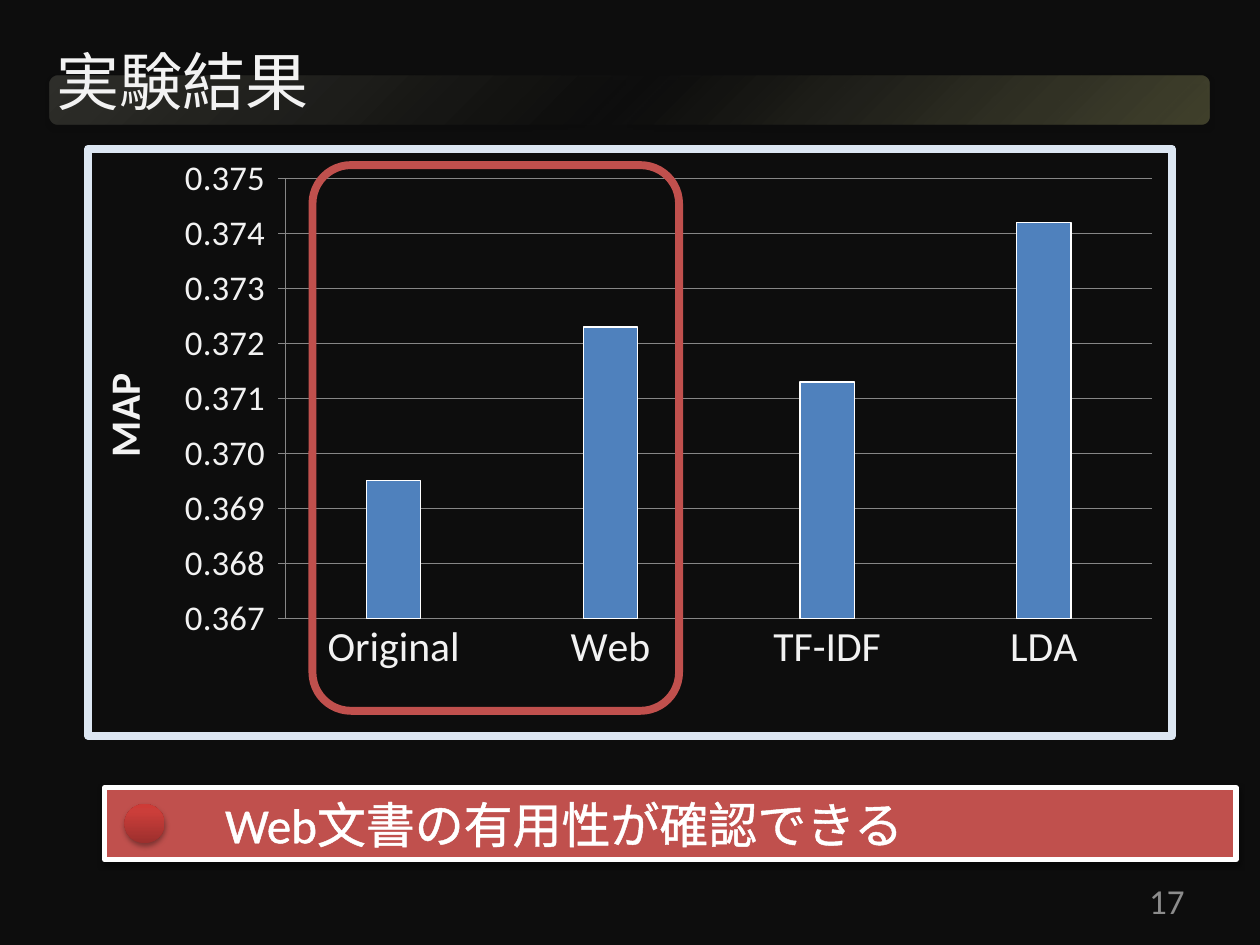
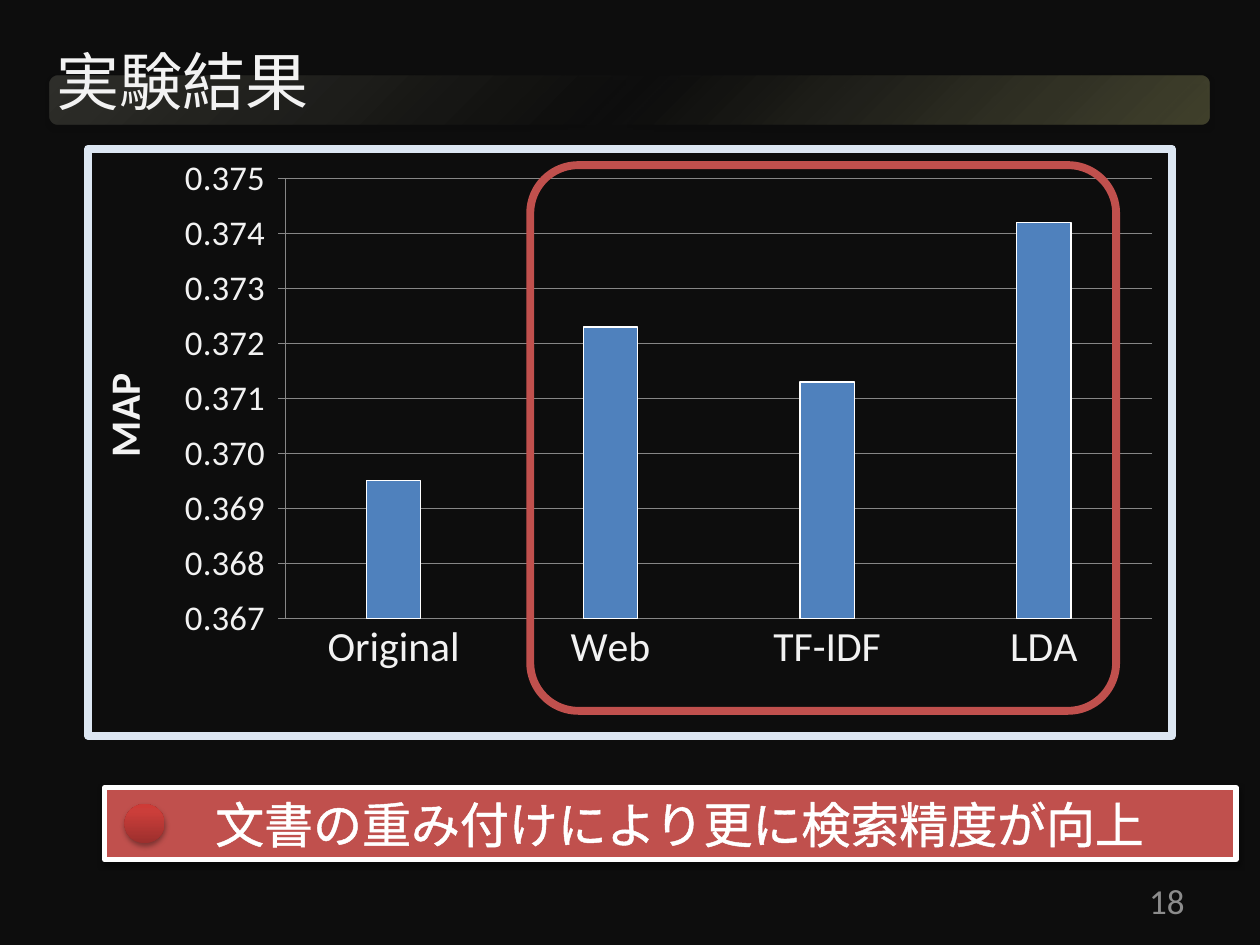
from lxml import etree
from pptx import Presentation
from pptx.chart.data import CategoryChartData
from pptx.dml.color import RGBColor
from pptx.enum.chart import XL_CHART_TYPE as ChartType, XL_TICK_MARK as Tick
from pptx.enum.shapes import MSO_SHAPE as Shape
from pptx.enum.text import MSO_ANCHOR as Anchor, PP_ALIGN as Align
from pptx.oxml import parse_xml
from pptx.oxml.ns import nsdecls, qn
from pptx.util import Cm, Pt

COLORS = {
    "background": "0D0D0D", "text": "F2F2F2", "number": "8C8C8C", "white": "FFFFFF",
    "accent": "C0504D", "bar": "4F81BD", "frame": "DCE6F2", "grid": "868686",
}
FONT = "Calibri"
BAND_STOPS = [(0, "FFFFA0", 22), (50, "FFFFC5", 0), (100, "FFFFE3", 14)]
DOT_STOPS = [(0, "9C2F2D", 100), (80, "CB3E3A", 100), (100, "CE3B37", 100)]
MAP_SCORES = {"Original": 0.3695, "Web": 0.3723, "TF-IDF": 0.3713, "LDA": 0.3742}
PLOT_AREA = {"x": 0.182, "y": 0.051, "w": 0.8, "h": 0.749}

# page number, highlight (left, width, corner), message, message indent
RESULTS = [
    (17, (6.3, 7.39, 0.105), "Web文書の有用性が確認できる", 2.43),
    (18, (10.69, 11.81, 0.088), "文書の重み付けにより更に検索精度が向上", 2.23),
]


def rgb(name):
    return RGBColor.from_string(COLORS[name])


def lengths(box):
    return [Cm(value) for value in box]


def style_line(line, color, width):
    line.color.rgb = rgb(color)
    line.width = Pt(width)


def style_font(font, size, color="text", bold=False):
    font.name, font.size, font.bold = FONT, Pt(size), bold
    font.color.rgb = rgb(color)


def outline_xml(tag, color, width):
    return parse_xml(
        f'<{tag} {nsdecls("a", "c")} w="{Pt(width)}"><a:solidFill>'
        f'<a:srgbClr val="{COLORS[color]}"/></a:solidFill><a:round/></{tag}>')


def write(frame, text, size, color="text", align=Align.LEFT, indent=0.25, outline=0):
    frame.word_wrap = True
    frame.vertical_anchor = Anchor.MIDDLE
    frame.margin_left = Cm(indent)
    para = frame.paragraphs[0]
    para.alignment = align
    span = para.add_run()
    span.text = text
    style_font(span.font, size, color)
    properties = span.font._element
    etree.SubElement(properties, qn("a:ea")).set("typeface", FONT)
    if outline:
        properties.insert(0, outline_xml("a:ln", color, outline))


class Deck:
    def __init__(self):
        self.file = Presentation()
        self.file.slide_width, self.file.slide_height = Cm(25.4), Cm(19.05)
        self.page = None

    def add_page(self, title, number):
        self.page = self.file.slides.add_slide(self.file.slide_layouts[6])
        fill = self.page.background.fill
        fill.solid()
        fill.fore_color.rgb = rgb("background")
        band = self.shape(Shape.ROUNDED_RECTANGLE, (0.99, 1.52, 23.39, 0.99))
        self.gradient(band, BAND_STOPS, 225)
        self.shadow(band, 38)
        self.text((0.89, 0.53, 23.19, 2.16), title, size=36)
        self.text((22.3, 17.65, 1.83, 1.02), str(number), size=20,
                  color="number", align=Align.RIGHT)

    def text(self, box, text, **style):
        write(self.page.shapes.add_textbox(*lengths(box)).text_frame, text, **style)

    def shape(self, kind, box, fill=None, line=None, width=0):
        shape = self.page.shapes.add_shape(kind, *lengths(box))
        shape.shadow.inherit = False
        if fill:
            shape.fill.solid()
            shape.fill.fore_color.rgb = rgb(fill)
        else:
            shape.fill.background()
        if line:
            style_line(shape.line, line, width)
        else:
            shape.line.fill.background()
        return shape

    def gradient(self, shape, stops, angle):
        """Fill with (position, colour, opacity) stops; the angle runs clockwise."""
        marks = "".join(
            f'<a:gs pos="{at * 1000}"><a:srgbClr val="{color}">'
            f'<a:alpha val="{opacity * 1000}"/></a:srgbClr></a:gs>'
            for at, color, opacity in stops)
        properties = shape._element.spPr
        properties.replace(properties.find(qn("a:noFill")), parse_xml(
            f'<a:gradFill {nsdecls("a")} rotWithShape="1"><a:gsLst>{marks}</a:gsLst>'
            f'<a:lin ang="{angle * 60000}" scaled="0"/></a:gradFill>'))

    def shadow(self, shape, opacity):
        effects = shape._element.spPr.find(qn("a:effectLst"))
        effects.append(parse_xml(
            f'<a:outerShdw {nsdecls("a")} blurRad="{Pt(3.1)}" dist="{Pt(1.6)}" '
            f'dir="5400000" rotWithShape="0"><a:srgbClr val="000000">'
            f'<a:alpha val="{opacity * 1000}"/></a:srgbClr></a:outerShdw>'))

    def chart(self, box, scores):
        data = CategoryChartData()
        data.categories = list(scores)
        data.add_series("Series 1", list(scores.values()))
        chart = self.page.shapes.add_chart(
            ChartType.COLUMN_CLUSTERED, *lengths(box), data).chart
        chart.has_legend = chart.has_title = False
        style_font(chart.font, 24)

        plot = chart.plots[0]
        plot.gap_width = 300
        plot.vary_by_categories = False
        bars = plot.series[0].format
        bars.fill.solid()
        bars.fill.fore_color.rgb = rgb("bar")
        style_line(bars.line, "white", 0.75)

        names, values = chart.category_axis, chart.value_axis
        names.major_tick_mark = Tick.NONE
        style_font(names.tick_labels.font, 24)
        values.minimum_scale, values.maximum_scale = 0.367, 0.375
        values.major_unit = 0.001
        values.major_tick_mark = Tick.CROSS
        values.tick_labels.number_format = "0.000_ "
        values.tick_labels.number_format_is_linked = False
        style_font(values.tick_labels.font, 20)
        for part in (names, values, values.major_gridlines):
            style_line(part.format.line, "grid", 0.75)
        title = values.axis_title.text_frame
        title.text = "MAP"
        style_font(title.paragraphs[0].runs[0].font, 24, bold=True)
        self.frame_chart(chart)

    def frame_chart(self, chart):
        """Fix the inner plot area and draw the border around the chart."""
        root = chart._chartSpace
        area = root.chart.plotArea
        for layout in area.findall(qn("c:layout")):
            area.remove(layout)
        modes = "".join(f'<c:{side}Mode val="edge"/>' for side in "xy")
        places = "".join(f'<c:{side} val="{size}"/>' for side, size in PLOT_AREA.items())
        area.insert(0, parse_xml(
            f'<c:layout {nsdecls("c")}><c:manualLayout><c:layoutTarget val="inner"/>'
            f'{modes}{places}</c:manualLayout></c:layout>'))
        border = parse_xml(f'<c:spPr {nsdecls("c", "a")}><a:noFill/></c:spPr>')
        border.append(outline_xml("a:ln", "frame", 4.5))
        root.chart.addnext(border)

    def message(self, text, indent):
        bar = self.shape(Shape.RECTANGLE, (2.11, 15.88, 22.81, 1.45),
                         fill="accent", line="white", width=3)
        self.shadow(bar, 38)
        write(bar.text_frame, text, size=28, color="white", indent=indent, outline=1.45)
        dot = self.shape(Shape.OVAL, (2.51, 16.21, 0.81, 0.79))
        self.gradient(dot, DOT_STOPS, 270)
        self.shadow(dot, 35)

    def highlight(self, left, width, corner):
        ring = self.shape(Shape.ROUNDED_RECTANGLE, (left, 3.33, width, 11),
                          line="accent", width=4.5)
        ring.adjustments[0] = corner


def main():
    deck = Deck()
    for number, ring, message, indent in RESULTS:
        deck.add_page("実験結果", number)
        deck.chart((1.7, 2.92, 22, 11.99), MAP_SCORES)
        deck.message(message, indent)
        deck.highlight(*ring)
    deck.file.save("out.pptx")


if __name__ == "__main__":
    main()
